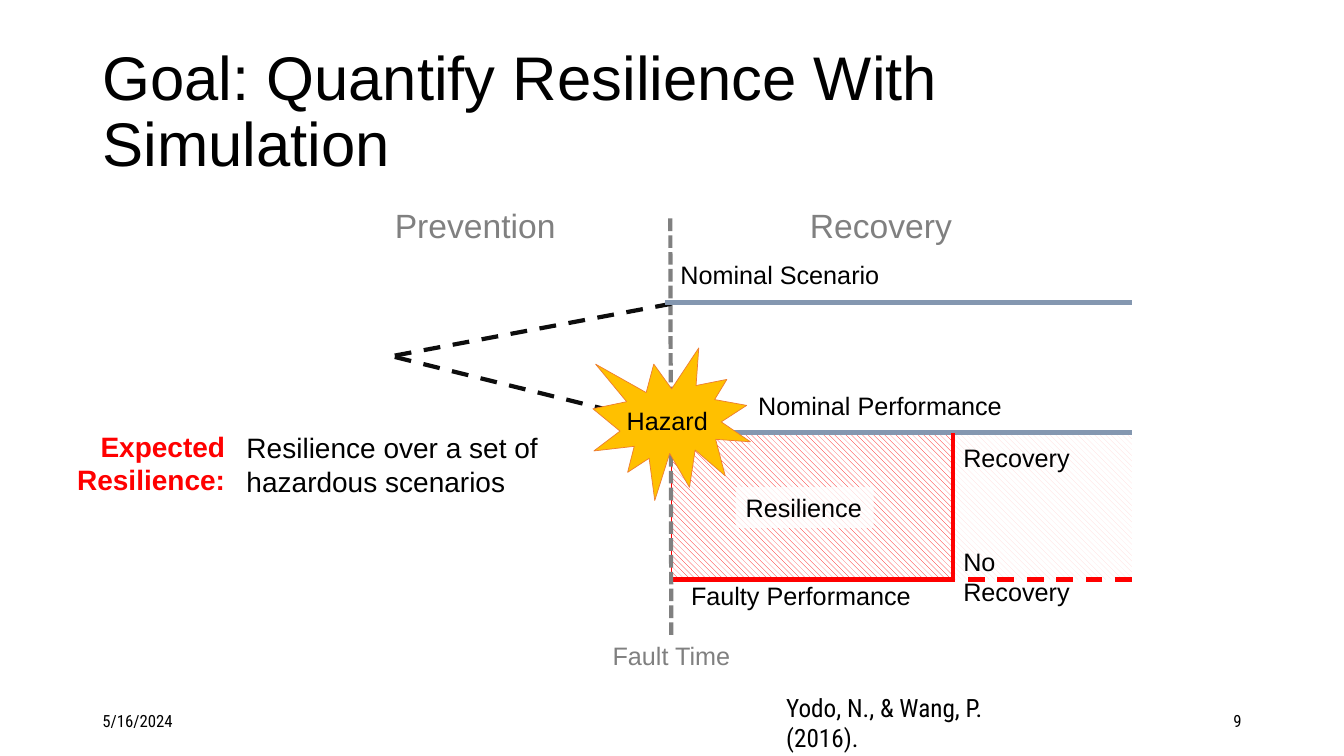
from dataclasses import dataclass

from pptx import Presentation
from pptx.dml.color import RGBColor
from pptx.enum.dml import MSO_LINE, MSO_PATTERN
from pptx.enum.shapes import MSO_CONNECTOR, MSO_SHAPE
from pptx.enum.text import MSO_ANCHOR, MSO_AUTO_SIZE, PP_ALIGN
from pptx.oxml.ns import qn
from pptx.util import Pt
from lxml import etree

DASH, SHORT_DASH = MSO_LINE.DASH, MSO_LINE.SQUARE_DOT
HATCH = MSO_PATTERN.WIDE_DOWNWARD_DIAGONAL
RECTANGLE, BURST = MSO_SHAPE.RECTANGLE, MSO_SHAPE.EXPLOSION1
STRAIGHT = MSO_CONNECTOR.STRAIGHT
LEFT, RIGHT = PP_ALIGN.LEFT, PP_ALIGN.RIGHT
TOP, MIDDLE = MSO_ANCHOR.TOP, MSO_ANCHOR.MIDDLE
TITLE_ONLY = 5


@dataclass(frozen=True)
class Theme:
    font: str = "Arial"
    footer_font: str = "Roboto Condensed"
    text: str = "000000"
    white: str = "FFFFFF"
    gray: str = "808080"
    path_line: str = "0D0D0D"
    nominal: str = "8497B0"
    fault: str = "FF0000"
    pale_fault: str = "FFD9D9"
    area_line: str = "4472C4"
    hazard: str = "FFC000"
    hazard_line: str = "ED7D31"
    title_size: int = 44
    phase_size: int = 24
    definition_size: int = 20
    label_size: int = 18
    footer_size: int = 12


THEME = Theme()

# Axes of the diagram, in points
FAULT_X, RECOVERY_X, END_X = 479.5, 681, 808.5
SCENARIO_Y, NOMINAL_Y, FAULTY_Y = 216, 309, 414
START_X, START_Y = 282, 254


def color(value):
    return RGBColor.from_string(value)


def format_paragraph(paragraph, size, text_color, font, alignment=LEFT, bold=False):
    paragraph.alignment = alignment
    paragraph.font.name = font
    paragraph.font.size = Pt(size)
    paragraph.font.bold = bold
    paragraph.font.color.rgb = color(text_color)


def write_text(shape, text, size=THEME.label_size, text_color=THEME.text,
               font=THEME.font, alignment=LEFT, bold=False, anchor=TOP):
    frame = shape.text_frame
    frame.word_wrap = True
    frame.auto_size = MSO_AUTO_SIZE.NONE
    frame.vertical_anchor = anchor
    frame.text = text
    for paragraph in frame.paragraphs:
        format_paragraph(paragraph, size, text_color, font, alignment, bold)


def add_label(slide, box, text, **style):
    write_text(slide.shapes.add_textbox(*map(Pt, box)), text, **style)


def add_outline_shape(slide, kind, box, line=None):
    shape = slide.shapes.add_shape(kind, *map(Pt, box))
    shape.shadow.inherit = False
    if line:
        shape.line.color.rgb = color(line)
        shape.line.width = Pt(0.5)
    else:
        shape.line.fill.background()
    return shape


def add_hatched_area(slide, box, hatch_color, line=None):
    fill = add_outline_shape(slide, RECTANGLE, box, line).fill
    fill.patterned()
    fill.pattern = HATCH
    fill.fore_color.rgb = color(hatch_color)
    fill.back_color.rgb = color(THEME.white)


def add_veil_label(slide, box, text, **style):
    """Add text on a white rectangle that is 80% opaque."""
    shape = add_outline_shape(slide, RECTANGLE, box)
    shape.fill.solid()
    shape.fill.fore_color.rgb = color(THEME.white)
    fill_color = shape.element.xpath("./p:spPr/a:solidFill/a:srgbClr")[0]
    etree.SubElement(fill_color, qn("a:alpha")).set("val", "80000")
    write_text(shape, text, **style)


def add_line(slide, start, end, line_color, width=3, dash=None):
    line = slide.shapes.add_connector(STRAIGHT, *map(Pt, (*start, *end)))
    line.line.color.rgb = color(line_color)
    line.line.width = Pt(width)
    if dash:
        line.line.dash_style = dash
    etree.SubElement(line.element.spPr, qn("a:effectLst"))


def add_title(slide, text):
    title = slide.shapes.title
    title.left, title.top, title.width, title.height = map(Pt, (66, 29, 828, 104))
    write_text(title, text, size=THEME.title_size, anchor=MIDDLE)
    title.text_frame.paragraphs[0].line_spacing = 0.9


def add_performance(slide):
    height = FAULTY_Y - NOMINAL_Y
    add_line(slide, (START_X, START_Y + 1), (FAULT_X, 304), THEME.path_line, dash=DASH)
    add_hatched_area(slide, (RECOVERY_X, NOMINAL_Y, END_X - RECOVERY_X, height),
                     THEME.pale_fault)
    add_hatched_area(slide, (FAULT_X, NOMINAL_Y, RECOVERY_X - FAULT_X, height),
                     THEME.fault, THEME.area_line)
    add_line(slide, (452, NOMINAL_Y), (END_X, NOMINAL_Y), THEME.nominal)
    corners = [(FAULT_X, NOMINAL_Y), (FAULT_X, FAULTY_Y),
               (RECOVERY_X, FAULTY_Y), (RECOVERY_X, NOMINAL_Y)]
    for start, end, width in zip(corners, corners[1:], (1, 3, 3)):
        add_line(slide, start, end, THEME.fault, width)
    add_line(slide, (FAULT_X, 453.5), (FAULT_X - 0.7, 155), THEME.gray, dash=SHORT_DASH)
    add_line(slide, (END_X, FAULTY_Y), (RECOVERY_X, FAULTY_Y), THEME.fault, dash=DASH)


def add_nominal_scenario(slide):
    add_line(slide, (START_X, START_Y), (FAULT_X, SCENARIO_Y + 1),
             THEME.path_line, dash=DASH)
    add_line(slide, (475, SCENARIO_Y), (END_X, SCENARIO_Y), THEME.nominal)


def add_hazard(slide):
    burst = add_outline_shape(slide, BURST, (423.5, 248.5, 112.5, 109), THEME.hazard_line)
    burst.fill.solid()
    burst.fill.fore_color.rgb = color(THEME.hazard)
    add_label(slide, (440.5, 286, 78.5, 29), "Hazard")


def add_diagram_labels(slide):
    for left, width, text in ((275, 132.5, "Prevention"), (571.5, 116, "Recovery")):
        add_label(slide, (left, 142.5, width, 36), text,
                  size=THEME.phase_size, text_color=THEME.gray)
    for left, top, width, text in (
        (479, 182, 232, "Nominal Scenario"),
        (534.5, 275, 232, "Nominal Performance"),
        (486.5, 411, 176, "Faulty Performance"),
        (RECOVERY_X, 312.5, 94.5, "Recovery"),
        (RECOVERY_X, 386.5, 115, "No Recovery"),
    ):
        add_label(slide, (left, top, width, 29), text)
    add_label(slide, (430.5, 453.5, 99.5, 29), "Fault Time", text_color=THEME.gray)
    add_veil_label(slide, (525.5, 348, 98.5, 29), "Resilience")


def add_definition(slide):
    add_veil_label(slide, (45.5, 303, 122.5, 55.5), "Expected\nResilience:",
                   size=THEME.definition_size, text_color=THEME.fault,
                   alignment=RIGHT, bold=True)
    add_veil_label(slide, (169, 304, 241, 55.5),
                   "Resilience over a set of hazardous scenarios",
                   size=THEME.definition_size)


def add_footer(slide):
    add_label(slide, (554.5, 491, 175, 29), "Yodo, N., & Wang, P. (2016).",
              font=THEME.footer_font)
    for left, text, alignment in ((66, "5/16/2024", LEFT), (678, "9", RIGHT)):
        add_label(slide, (left, 500.5, 216, 29), text, size=THEME.footer_size,
                  font=THEME.footer_font, alignment=alignment, anchor=MIDDLE)


def main():
    presentation = Presentation()
    presentation.slide_width, presentation.slide_height = Pt(960), Pt(540)
    slide = presentation.slides.add_slide(presentation.slide_layouts[TITLE_ONLY])
    add_title(slide, "Goal: Quantify Resilience With Simulation")
    add_performance(slide)
    add_nominal_scenario(slide)
    add_hazard(slide)
    add_diagram_labels(slide)
    add_definition(slide)
    add_footer(slide)
    presentation.save("out.pptx")


if __name__ == "__main__":
    main()
